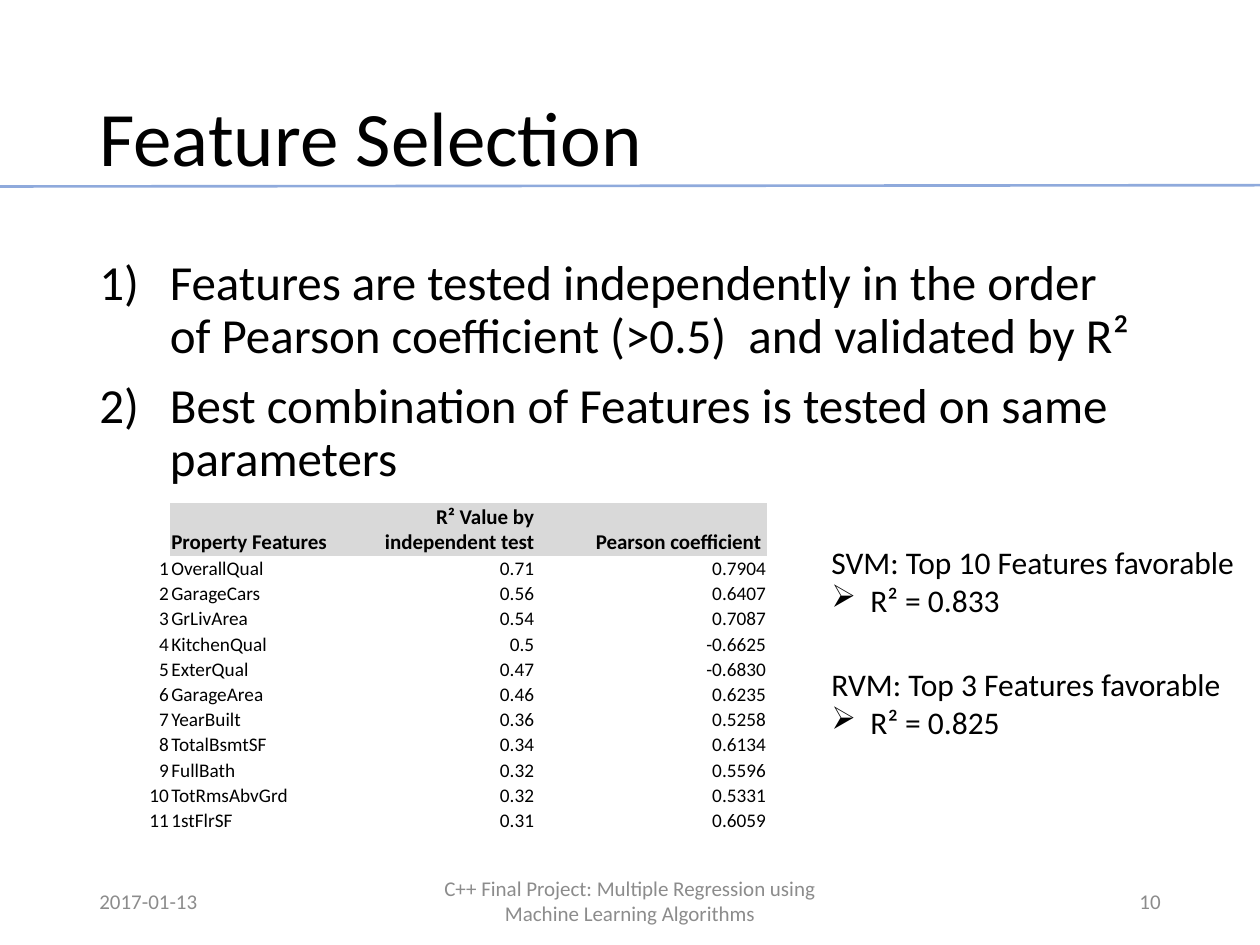
from lxml.etree import SubElement
from pptx import Presentation
from pptx.dml.color import RGBColor
from pptx.enum.shapes import MSO_CONNECTOR as Conn
from pptx.enum.text import MSO_ANCHOR as Anchor, PP_ALIGN as Align
from pptx.oxml.ns import qn
from pptx.util import Inches, Pt

COLS, ROWS = 100, 75
NO_STYLE = "{2D5ABB26-0587-4C30-8999-92F81FD0307C}"


def color(value):
    return RGBColor.from_string(value)


class Deck:
    font, ink, muted, rule, header = "Calibri", "000000", "8C8C8C", "8FAADC", "D9D9D9"

    def __init__(self):
        self.prs = Presentation()
        self.prs.slide_width, self.prs.slide_height = Inches(10), Inches(7.5)
        self.s = self.prs.slides.add_slide(self.prs.slide_layouts[6])

    def x(self, cols):
        return round(self.prs.slide_width * cols / COLS)

    def y(self, rows):
        return round(self.prs.slide_height * rows / ROWS)

    def box(self, x, y, w, h):
        return self.x(x), self.y(y), self.x(w), self.y(h)

    def run(self, p, text, size, ink=None, bold=False):
        r = p.add_run()
        r.text = text
        r.font.name, r.font.size, r.font.bold = self.font, Pt(size), bold
        r.font.color.rgb = color(ink or self.ink)

    def bullet(self, p, tag, indent, **attrs):
        pPr = p._p.get_or_add_pPr()
        pPr.set("marL", str(self.x(indent)))
        pPr.set("indent", str(-self.x(indent)))
        SubElement(pPr, qn(tag), **attrs)

    def text(self, place, lines, size, ink=None, align=Align.LEFT,
             anchor=Anchor.TOP, spacing=None, before=0):
        tf = self.s.shapes.add_textbox(*self.box(*place)).text_frame
        tf.word_wrap, tf.vertical_anchor = True, anchor
        for i, line in enumerate(lines):
            p = tf.add_paragraph() if i else tf.paragraphs[0]
            p.alignment, p.line_spacing, p.space_before = align, spacing, Pt(before)
            self.run(p, line, size, ink)
        return tf.paragraphs

    def numbered(self, place, lines, size):
        for p in self.text(place, lines, size, spacing=0.9, before=10):
            self.bullet(p, "a:buAutoNum", 5.6, type="arabicParenR")

    def result(self, place, heading, score):
        p = self.text(place, [heading, score], 18)[1]
        self.bullet(p, "a:buChar", 3.1, char="➢")

    def line(self, x1, y1, x2, y2):
        c = self.s.shapes.add_connector(
            Conn.STRAIGHT, self.x(x1), self.y(y1), self.x(x2), self.y(y2))
        c.line.color.rgb, c.line.width = color(self.rule), Pt(1.5)
        SubElement(c._element.spPr, qn("a:effectLst"))

    def cell(self, cell, text, align, header):
        cell.margin_left = cell.margin_right = cell.margin_top = Inches(0.01)
        cell.margin_bottom = 0
        cell.vertical_anchor = Anchor.BOTTOM
        if header and text:
            cell.fill.solid()
            cell.fill.fore_color.rgb = color(self.header)
        else:
            cell.fill.background()
        p = cell.text_frame.paragraphs[0]
        p.alignment = align
        if text:
            self.run(p, text, 12 if header else 11, bold=header)

    def table(self, x, y, widths, head_height, row_height, rows):
        height = head_height + row_height * (len(rows) - 1)
        frame = self.s.shapes.add_table(
            len(rows), len(widths), *self.box(x, y, sum(widths), height))
        t = frame.table
        t.first_row = t.horz_banding = False
        t._tbl.tblPr.find(qn("a:tableStyleId")).text = NO_STYLE
        for col, width in zip(t.columns, widths):
            col.width = self.x(width)
        for i, values in enumerate(rows):
            t.rows[i].height = self.y(row_height if i else head_height)
            for j, value in enumerate(values):
                align = Align.LEFT if j == 1 else Align.RIGHT
                self.cell(t.cell(i, j), value, align, i == 0)


FEATURES = [
    ("OverallQual", "0.71", "0.7904"),
    ("GarageCars", "0.56", "0.6407"),
    ("GrLivArea", "0.54", "0.7087"),
    ("KitchenQual", "0.5", "-0.6625"),
    ("ExterQual", "0.47", "-0.6830"),
    ("GarageArea", "0.46", "0.6235"),
    ("YearBuilt", "0.36", "0.5258"),
    ("TotalBsmtSF", "0.34", "0.6134"),
    ("FullBath", "0.32", "0.5596"),
    ("TotRmsAbvGrd", "0.32", "0.5331"),
    ("1stFlrSF", "0.31", "0.6059"),
]
HEADER = ("", "Property Features", "R² Value by independent test", "Pearson coefficient ")
FOOTERS = [
    (6.9, 22.5, "2017-01-13", Align.LEFT),
    (33.1, 33.8, "C++ Final Project: Multiple Regression using Machine Learning Algorithms",
     Align.CENTER),
    (70.6, 22.5, "10", Align.RIGHT),
]


def main():
    d = Deck()
    d.line(0, 14.8, COLS, 14.7)
    d.text((6.9, 4, 86.2, 14.5), ["Feature Selection"], 44,
           anchor=Anchor.MIDDLE, spacing=0.9)
    d.numbered((6.9, 20, 84.1, 19.9), [
        "Features are tested independently in the order of Pearson coefficient (>0.5)  "
        "and validated by R²",
        "Best combination of Features is tested on same parameters",
    ], 28)
    for x, w, text, align in FOOTERS:
        d.text((x, 69.5, w, 4), [text], 12, d.muted, align, Anchor.MIDDLE)
    rows = [HEADER] + [(str(n), *row) for n, row in enumerate(FEATURES, 1)]
    d.table(7.2, 39.9, (6.3, 14.2, 14.8, 18.4), 4.2, 2, rows)
    d.result((65, 42.6, 37, 7.1), "SVM: Top 10 Features favorable", "R² = 0.833")
    d.result((65, 52.3, 36.5, 7.1), "RVM: Top 3 Features favorable", "R² = 0.825")
    d.prs.save("out.pptx")


if __name__ == "__main__":
    main()
